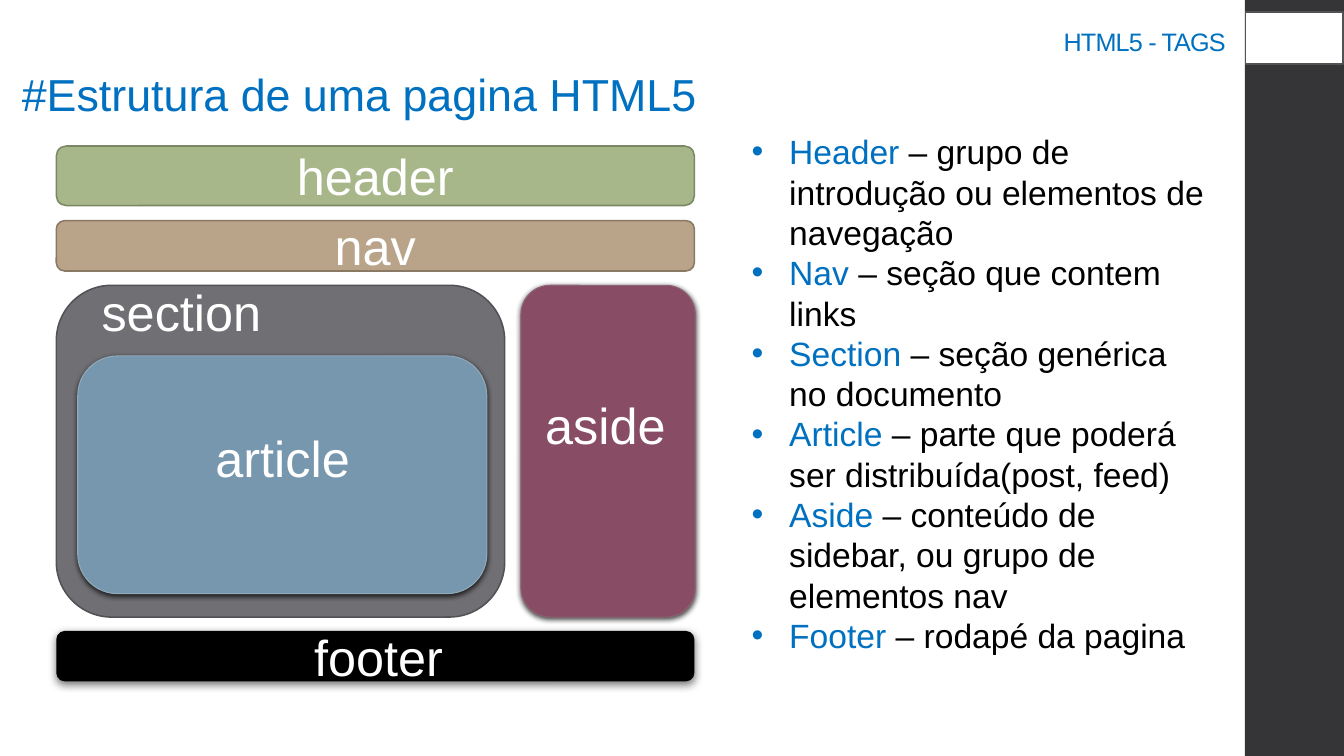
from dataclasses import dataclass
from typing import Optional

from lxml import etree
from pptx import Presentation
from pptx.dml.color import RGBColor
from pptx.enum.shapes import MSO_SHAPE
from pptx.enum.text import MSO_ANCHOR, MSO_AUTO_SIZE, PP_ALIGN
from pptx.oxml.ns import qn
from pptx.util import Cm, Pt

RECTANGLE = MSO_SHAPE.RECTANGLE
ROUNDED = MSO_SHAPE.ROUNDED_RECTANGLE
LEFT, CENTER, RIGHT = PP_ALIGN.LEFT, PP_ALIGN.CENTER, PP_ALIGN.RIGHT
TOP, MIDDLE, BOTTOM = MSO_ANCHOR.TOP, MSO_ANCHOR.MIDDLE, MSO_ANCHOR.BOTTOM
FIT_SHAPE = MSO_AUTO_SIZE.SHAPE_TO_FIT_TEXT

FONT = "Arial"
COLORS = {
    "white": "FFFFFF",
    "black": "000000",
    "blue": "0070C0",
    "sidebar": "353537",
    "gray": "6F6F74",
    "gray_line": "525256",
    "green": "A7B789",
    "green_line": "7C8765",
    "tan": "B9A489",
    "tan_line": "897965",
    "plum": "884C64",
    "plum_line": "8D6374",
    "steel": "7797AE",
    "steel_line": "92A9B9",
}


@dataclass(frozen=True)
class Area:
    left: float
    top: float
    width: float
    height: float

    def lengths(self) -> tuple:
        return Cm(self.left), Cm(self.top), Cm(self.width), Cm(self.height)


@dataclass(frozen=True)
class Shadow:
    opacity: int
    blur: float
    distance: float


@dataclass(frozen=True)
class Block:
    area: Area
    fill: str
    line: Optional[str] = None
    line_width: float = 1.1
    text: str = ""
    shadow: Optional[Shadow] = None
    kind: int = ROUNDED


@dataclass(frozen=True)
class Label:
    text: str
    area: Area


SOFT = Shadow(75, 4, 1.2)
DEEP = Shadow(55, 6, 2)
LAYOUT_LEFT, LAYOUT_WIDTH = 1.42, 16.08
MAIN_TOP, MAIN_HEIGHT = 7.19, 8.36
LABEL_HEIGHT = 1.8

SIDEBAR = Block(Area(31.37, 0, 2.5, 19.05), "sidebar", kind=RECTANGLE)
NUMBER_BOX = Block(Area(31.39, 0.3, 2.46, 1.32), "white", "gray_line", kind=RECTANGLE)
BLOCKS = [
    Block(Area(LAYOUT_LEFT, 3.68, LAYOUT_WIDTH, 1.5), "green", "green_line", text="header"),
    Block(Area(LAYOUT_LEFT, 5.56, LAYOUT_WIDTH, 1.27), "tan", "tan_line", text="nav"),
    Block(Area(LAYOUT_LEFT, MAIN_TOP, 11.3, MAIN_HEIGHT), "gray", "gray_line"),
    Block(Area(13.13, MAIN_TOP, 4.39, MAIN_HEIGHT), "plum", "plum_line", 0.75, shadow=SOFT),
    Block(Area(LAYOUT_LEFT, 15.9, LAYOUT_WIDTH, 1.27), "black", shadow=DEEP),
    Block(Area(1.96, 8.97, 10.31, 5.99), "steel", "steel_line", 0.75, shadow=SOFT),
]
LABELS = [
    Label("aside", Area(13.49, 9.8, 3.58, LABEL_HEIGHT)),
    Label("article", Area(5.18, 10.64, 3.94, LABEL_HEIGHT)),
    Label("section", Area(2.31, 6.96, 4.65, LABEL_HEIGHT)),
    Label("footer", Area(7.67, 15.65, 3.78, LABEL_HEIGHT)),
]
TAGS = {
    "Header": "grupo de introdução ou elementos de navegação",
    "Nav": "seção que contem links",
    "Section": "seção genérica no documento",
    "Article": "parte que poderá ser distribuída(post, feed)",
    "Aside": "conteúdo de sidebar, ou grupo de elementos nav",
    "Footer": "rodapé da pagina",
}


def rgb(name: str) -> RGBColor:
    return RGBColor.from_string(COLORS[name])


def add_text(para, text: str, *, size: float, color: str, align=LEFT,
             spacing: Optional[float] = None, tracking: int = 0) -> None:
    para.alignment = align
    if spacing:
        para.line_spacing = spacing
    span = para.add_run()
    span.text = text
    span.font.name = FONT
    span.font.size = Pt(size)
    span.font.color.rgb = rgb(color)
    if tracking:
        span.font._element.set("spc", str(tracking))


def add_shadow(box, shadow: Shadow) -> None:
    effects = box._element.spPr.find(qn("a:effectLst"))
    outer = etree.SubElement(
        effects, qn("a:outerShdw"), blurRad=str(Pt(shadow.blur)),
        dist=str(Pt(shadow.distance)), dir="5400000", algn="ctr", rotWithShape="0")
    color = etree.SubElement(outer, qn("a:srgbClr"), val=COLORS["black"])
    etree.SubElement(color, qn("a:alpha"), val=str(shadow.opacity * 1000))


def add_block(page, block: Block) -> None:
    box = page.shapes.add_shape(block.kind, *block.area.lengths())
    box.shadow.inherit = False
    box.fill.solid()
    box.fill.fore_color.rgb = rgb(block.fill)
    if block.line:
        box.line.color.rgb = rgb(block.line)
        box.line.width = Pt(block.line_width)
    else:
        box.line.fill.background()
    if block.shadow:
        add_shadow(box, block.shadow)
    if block.text:
        box.text_frame.vertical_anchor = MIDDLE
        add_text(box.text_frame.paragraphs[0], block.text,
                 size=36, color="white", align=CENTER)


def add_frame(page, area: Area, *, wrap: bool = False, anchor=TOP, fit: bool = True):
    frame = page.shapes.add_textbox(*area.lengths()).text_frame
    frame.word_wrap = wrap
    frame.vertical_anchor = anchor
    if fit:
        frame.auto_size = FIT_SHAPE
    return frame


def add_bullet(para) -> None:
    properties = para._p.get_or_add_pPr()
    properties.set("marL", str(Cm(0.95)))
    properties.set("indent", str(Cm(-0.95)))
    color = etree.SubElement(properties, qn("a:buClr"))
    etree.SubElement(color, qn("a:srgbClr"), val=COLORS["blue"])
    etree.SubElement(properties, qn("a:buFont"), typeface=FONT)
    etree.SubElement(properties, qn("a:buChar"), char="•")


def add_tag_list(page) -> None:
    frame = add_frame(page, Area(18.69, 3.18, 11.96, 13.59), wrap=True)
    for index, (tag, meaning) in enumerate(TAGS.items()):
        para = frame.add_paragraph() if index else frame.paragraphs[0]
        add_bullet(para)
        add_text(para, tag, size=24, color="blue")
        add_text(para, f" – {meaning}", size=24, color="black")


def main() -> None:
    deck = Presentation()
    deck.slide_width, deck.slide_height = Cm(33.87), Cm(19.05)
    page = deck.slides.add_slide(deck.slide_layouts[6])

    add_block(page, SIDEBAR)
    title = add_frame(page, Area(21.13, 0.51, 10.01, 1.04),
                      wrap=True, anchor=BOTTOM, fit=False)
    add_text(title.paragraphs[0], "HTML5 - TAGS", size=18, color="blue",
             align=RIGHT, spacing=0.9, tracking=-60)
    add_block(page, NUMBER_BOX)
    heading = add_frame(page, Area(0.3, 1.55, 17.65, 1.63))
    add_text(heading.paragraphs[0], "#Estrutura de uma pagina HTML5", size=32, color="blue")
    for block in BLOCKS:
        add_block(page, block)
    for label in LABELS:
        frame = add_frame(page, label.area)
        add_text(frame.paragraphs[0], label.text, size=36, color="white")
    add_tag_list(page)
    deck.save("out.pptx")


if __name__ == "__main__":
    main()
